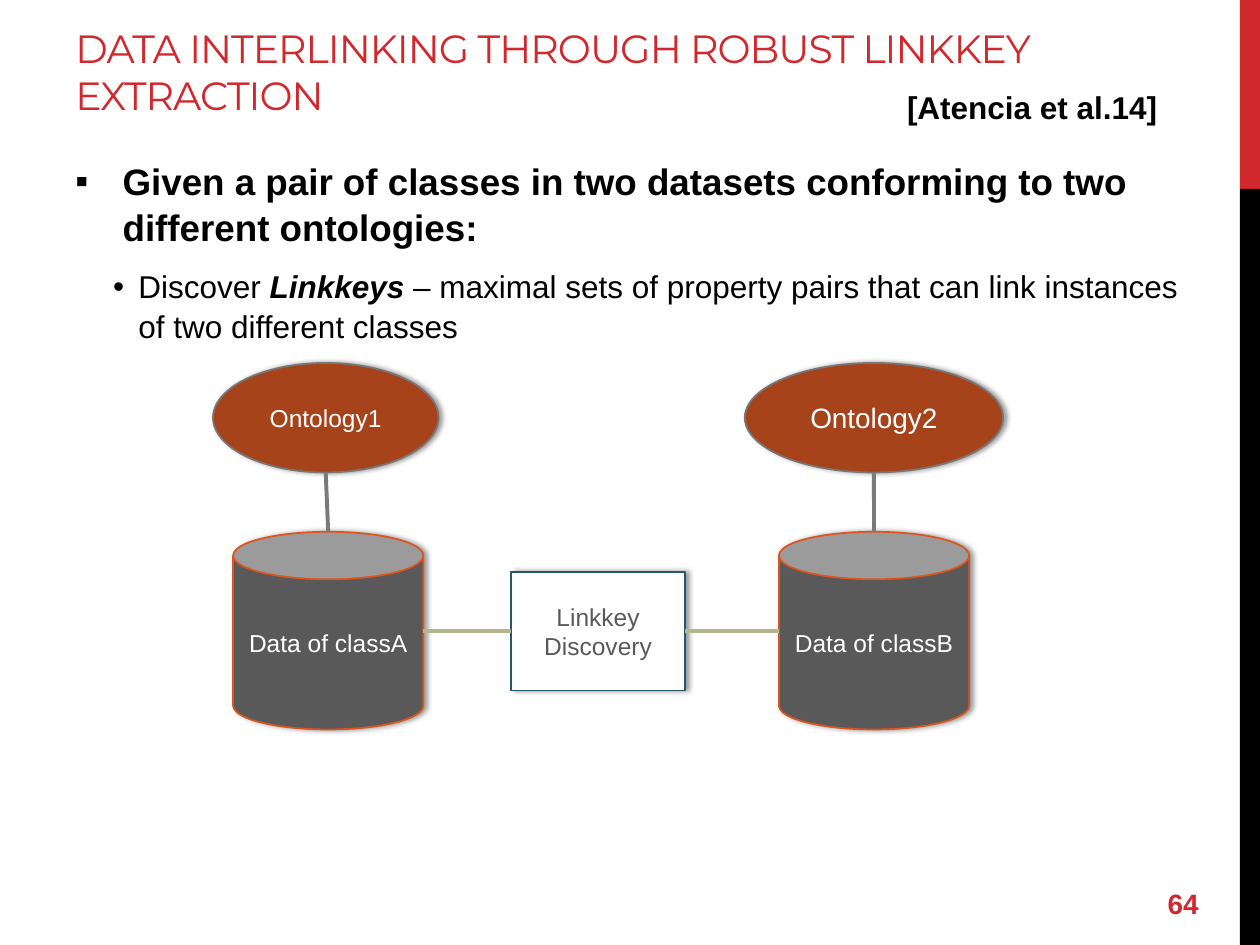
from dataclasses import dataclass

from lxml.etree import SubElement
from pptx import Presentation
from pptx.dml.color import RGBColor
from pptx.enum.shapes import MSO_CONNECTOR, MSO_SHAPE
from pptx.enum.text import MSO_ANCHOR, PP_ALIGN
from pptx.oxml.ns import qn
from pptx.util import Pt


@dataclass(frozen=True)
class Theme:
    font: str = "Arial"
    title_font: str = "Montserrat"
    red: str = "D1282E"
    black: str = "000000"
    white: str = "FFFFFF"
    rust: str = "A6431A"
    rust_line: str = "777777"
    gray: str = "595959"
    orange: str = "DC551F"
    teal: str = "215968"
    stem: str = "7A7A7A"
    sand: str = "B4B392"
    title: float = 22.5
    lead: float = 21
    body: float = 18
    number: float = 16
    label: float = 14


T = Theme()


def rgb(color):
    return RGBColor.from_string(color)


def add_text(p, text, size=T.label, color=T.black, font=T.font,
             bold=False, italic=False, spacing=None):
    r = p.add_run()
    r.text = text
    r.font.name, r.font.size = font, Pt(size)
    r.font.bold, r.font.italic = bold, italic
    r.font.color.rgb = rgb(color)
    if spacing is not None:
        r.font._element.set("spc", str(round(spacing * 100)))


def add_box(slide, box, wrap=True, anchor=MSO_ANCHOR.TOP):
    tf = slide.shapes.add_textbox(*map(Pt, box)).text_frame
    tf.word_wrap, tf.vertical_anchor = wrap, anchor
    return tf


def add_bullet(p, char, left, hang):
    pPr = p._p.get_or_add_pPr()
    pPr.set("marL", str(Pt(left)))
    pPr.set("indent", str(-Pt(hang)))
    SubElement(pPr, qn("a:buFont"), typeface=T.font)
    SubElement(pPr, qn("a:buChar"), char=char)
    p.line_spacing = 1.05


def add_shadow(s):
    effects = s._element.spPr.find(qn("a:effectLst"))
    shadow = SubElement(effects, qn("a:outerShdw"), blurRad=str(Pt(3.1)),
                        dist=str(Pt(1.8)), dir="0", rotWithShape="0")
    color = SubElement(shadow, qn("a:srgbClr"), val=T.black)
    SubElement(color, qn("a:alpha"), val="40000")


def add_node(slide, kind, box, lines, fill, line, color=T.white, size=T.label):
    s = slide.shapes.add_shape(kind, *map(Pt, box))
    s.shadow.inherit = False
    add_shadow(s)
    s.fill.solid()
    s.fill.fore_color.rgb = rgb(fill)
    s.line.color.rgb, s.line.width = rgb(line), Pt(1)
    tf = s.text_frame
    tf.word_wrap, tf.vertical_anchor = True, MSO_ANCHOR.MIDDLE
    for i, text in enumerate(lines):
        p = tf.add_paragraph() if i else tf.paragraphs[0]
        p.alignment = PP_ALIGN.CENTER
        add_text(p, text, size=size, color=color)


def add_link(slide, start, end, color):
    c = slide.shapes.add_connector(MSO_CONNECTOR.STRAIGHT, *map(Pt, start + end))
    c.line.color.rgb, c.line.width = rgb(color), Pt(2.25)
    SubElement(c._element.spPr, qn("a:effectLst"))


def side_bar(slide, box):
    x, y, w, h = box
    cut = h / 5
    for top, height, color in ((y, cut, T.red), (y + cut, h - cut, T.black)):
        s = slide.shapes.add_shape(MSO_SHAPE.RECTANGLE, *map(Pt, (x, top, w, height)))
        s.shadow.inherit = False
        s.fill.solid()
        s.fill.fore_color.rgb = rgb(color)
        s.line.fill.background()


def heading(slide, box):
    x, y, w, h = box
    tf = add_box(slide, box, anchor=MSO_ANCHOR.MIDDLE)
    tf.margin_top = 0
    add_text(tf.paragraphs[0], "DATA INTERLINKING THROUGH ROBUST LINKKEY EXTRACTION",
             size=T.title, color=T.red, font=T.title_font, spacing=-0.6)
    tf = add_box(slide, (x + 475.2, y + 34.6, 159.1, 28.8), wrap=False)
    add_text(tf.paragraphs[0], "[Atencia et al.14]", size=T.body, bold=True)


def body(slide, box):
    tf = add_box(slide, box)
    lead = tf.paragraphs[0]
    add_bullet(lead, "▪", 27, 27)
    lead.space_after = Pt(6)
    add_text(lead, "Given a pair of classes in two datasets conforming to two "
             "different ontologies:", size=T.lead, bold=True)
    detail = tf.add_paragraph()
    detail.level = 1
    add_bullet(detail, "•", 36, 14.4)
    detail.space_before = Pt(3.6)
    add_text(detail, "Discover ", size=T.body)
    add_text(detail, "Linkkeys", size=T.body, bold=True, italic=True)
    add_text(detail, " – maximal sets of property pairs that can link instances "
             "of two different classes", size=T.body)


def data_source(slide, box, ontology, data, indent, size):
    x, y, w, h = box
    oval_h, can_w, can_h = 62.6, 108.7, 113
    can_x, can_y = x + indent, y + h - can_h
    add_node(slide, MSO_SHAPE.OVAL, (x, y, w, oval_h), [ontology],
             T.rust, T.rust_line, size=size)
    add_node(slide, MSO_SHAPE.CAN, (can_x, can_y, can_w, can_h), [data],
             T.gray, T.orange)
    add_link(slide, (x + w / 2, y + oval_h), (can_x + can_w / 2, can_y), T.stem)
    return can_x, can_x + can_w


def diagram(slide, box):
    x, y, w, h = box
    left_w, right_w = 128.9, 147.6
    _, can_a = data_source(slide, (x, y, left_w, h), "Ontology1",
                           "Data of classA", 11.5, T.label)
    can_b, _ = data_source(slide, (x + w - right_w, y, right_w, h), "Ontology2",
                           "Data of classB", 19.5, T.number)
    hub_x, hub_w, hub_h = x + 170.5, 99.2, 67.7
    mid = y + 153.3
    add_node(slide, MSO_SHAPE.RECTANGLE, (hub_x, mid - hub_h / 2, hub_w, hub_h),
             ["Linkkey", "Discovery"], T.white, T.teal, color=T.gray)
    for start, end in ((can_a, hub_x), (hub_x + hub_w, can_b)):
        add_link(slide, (start, mid), (end, mid), T.sand)


def page_number(slide, box):
    tf = add_box(slide, box, anchor=MSO_ANCHOR.MIDDLE)
    add_text(tf.paragraphs[0], "64", size=T.number, color=T.red, bold=True)


def main():
    prs = Presentation()
    prs.slide_width, prs.slide_height = Pt(720), Pt(540)
    slide = prs.slides.add_slide(prs.slide_layouts[6])
    side_bar(slide, (708.5, 0, 11.5, 540))
    heading(slide, (36, 12.2, 652.3, 60.5))
    body(slide, (36, 85.7, 652.3, 396.7))
    diagram(slide, (121.7, 207.4, 451.5, 209.5))
    page_number(slide, (660.2, 501.8, 59.8, 28.8))
    prs.save("out.pptx")


if __name__ == "__main__":
    main()
